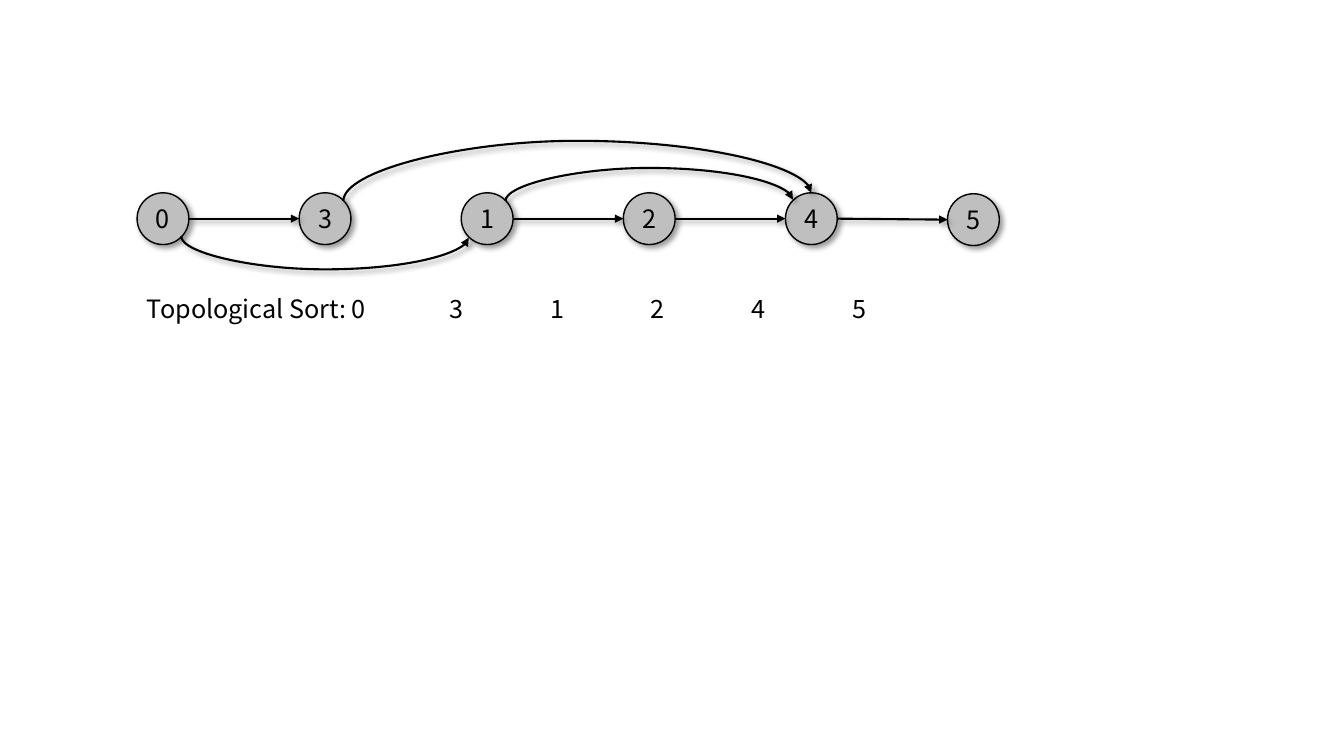
import math
from dataclasses import dataclass
from typing import Any

import pptx
import pptx.dml.color
import pptx.enum.shapes
import pptx.enum.text
import pptx.oxml
import pptx.oxml.ns
import pptx.util

Pt = pptx.util.Pt
COLORS = {"ink": "000000", "node": "BFBFBF"}
NS = pptx.oxml.ns.nsdecls("a")

# Geometry of the row of vertices, in points
DIAMETER = 37
ROW_LEFT, ROW_MIDDLE, STEP = 97.9, 156.2, 115.78
DIAGONAL = DIAMETER / 2 * math.sqrt(0.5)
ORDER = "031245"
LAST_DROP = 0.7  # the last vertex sits slightly lower

TEXT_FORMAT = {"size": Pt(18), "name": "Noto Sans CJK KR"}
FRAME_FORMAT = {
    "word_wrap": True,
    "auto_size": pptx.enum.text.MSO_AUTO_SIZE.SHAPE_TO_FIT_TEXT,
}


@dataclass
class Arc:
    source: str
    target: str
    upward: bool
    lift: float
    to_top: bool = False


ARCS = [
    Arc("1", "4", True, 23.8),
    Arc("0", "1", False, 23.8),
    Arc("3", "4", True, 43, to_top=True),
]


def rgb(key: str) -> pptx.dml.color.RGBColor:
    return pptx.dml.color.RGBColor.from_string(COLORS[key])


def apply_format(target: Any, values: dict[str, Any]) -> None:
    for attribute, value in values.items():
        setattr(target, attribute, value)


def center(vertex: str) -> tuple[float, float]:
    index = ORDER.index(vertex)
    drop = LAST_DROP if vertex == ORDER[-1] else 0
    return ROW_LEFT + DIAMETER / 2 + index * STEP, ROW_MIDDLE + drop


def outline(item: Any, width: float) -> None:
    """Black line with a soft shadow falling to the lower right."""
    item.line.color.rgb = rgb("ink")
    item.line.width = Pt(width)
    item._element.spPr.append(pptx.oxml.parse_xml(
        f'<a:effectLst {NS}><a:outerShdw blurRad="{Pt(4)}" dist="{Pt(3)}" '
        f'dir="2700000" algn="tl" rotWithShape="0"><a:srgbClr val="{COLORS["ink"]}">'
        '<a:alpha val="40000"/></a:srgbClr></a:outerShdw></a:effectLst>'))


def write(paragraph: Any, text: str) -> None:
    run = paragraph.add_run()
    run.text = text
    apply_format(run.font, TEXT_FORMAT)
    run.font.color.rgb = rgb("ink")


def draw_vertex(shapes: Any, vertex: str) -> None:
    x, y = center(vertex)
    circle = shapes.add_shape(
        pptx.enum.shapes.MSO_SHAPE.OVAL,
        Pt(x - DIAMETER / 2), Pt(y - DIAMETER / 2), Pt(DIAMETER), Pt(DIAMETER))
    circle.fill.solid()
    circle.fill.fore_color.rgb = rgb("node")
    outline(circle, 1)
    circle.text_frame.vertical_anchor = pptx.enum.text.MSO_ANCHOR.MIDDLE
    paragraph = circle.text_frame.paragraphs[0]
    paragraph.alignment = pptx.enum.text.PP_ALIGN.CENTER
    write(paragraph, vertex)


def finish_arrow(arrow: Any) -> None:
    outline(arrow, 1.5)
    arrow.line._get_or_add_ln().append(
        pptx.oxml.parse_xml(f'<a:tailEnd {NS} type="triangle"/>'))


def draw_edge(shapes: Any, source: str, target: str) -> None:
    (x1, y1), (x2, y2) = center(source), center(target)
    finish_arrow(shapes.add_connector(
        pptx.enum.shapes.MSO_CONNECTOR.STRAIGHT,
        Pt(x1 + DIAMETER / 2), Pt(y1), Pt(x2 - DIAMETER / 2), Pt(y2)))


def draw_arc(shapes: Any, arc: Arc) -> None:
    (x1, y1), (x2, y2) = center(arc.source), center(arc.target)
    side = -1 if arc.upward else 1
    x1, y1 = x1 + DIAGONAL, y1 + side * (DIAGONAL - 0.5)
    if arc.to_top:
        y2 -= DIAMETER / 2
    else:
        x2, y2 = x2 - DIAGONAL, y2 + side * (DIAGONAL + 0.5)

    # A quarter turn swaps the box: its width is the rise, its height the span
    rise, span = abs(y2 - y1), x2 - x1
    left, top = (x1 + x2 - rise) / 2, (y1 + y2 - span) / 2
    curve = shapes.add_connector(
        pptx.enum.shapes.MSO_CONNECTOR.CURVE,
        Pt(left), Pt(top), Pt(left + rise), Pt(top + span))
    frame = curve._element.spPr.get_or_add_xfrm()
    apply_format(frame, {"rot": 90 if arc.upward else 270,
                         "flipH": True, "flipV": arc.upward})
    guides = curve._element.spPr.prstGeom.get_or_add_avLst()
    guides.append(pptx.oxml.parse_xml(
        f'<a:gd {NS} name="adj1" fmla="val {round(arc.lift / rise * 100000)}"/>'))
    finish_arrow(curve)


def draw_caption(shapes: Any) -> None:
    caption = shapes.add_textbox(Pt(97.9), Pt(205.9), Pt(831.6), Pt(29.5))
    apply_format(caption.text_frame, FRAME_FORMAT)
    paragraph = caption.text_frame.paragraphs[0]
    stops = "".join(f'<a:tab pos="{Pt(72 * inch)}" algn="l"/>' for inch in range(3, 8))
    paragraph._p.get_or_add_pPr().append(
        pptx.oxml.parse_xml(f"<a:tabLst {NS}>{stops}</a:tabLst>"))
    write(paragraph, "Topological Sort: " + "\t".join(ORDER))


presentation = pptx.Presentation()
apply_format(presentation, {"slide_width": Pt(960), "slide_height": Pt(540)})
shapes = presentation.slides.add_slide(presentation.slide_layouts[6]).shapes

# Vertices in sorted order
for vertex in ORDER:
    draw_vertex(shapes, vertex)

# Straight edges between neighbours; 3 and 1 are not joined
for source, target in zip(ORDER, ORDER[1:]):
    if (source, target) != ("3", "1"):
        draw_edge(shapes, source, target)

# Caption and curved edges
draw_caption(shapes)
for arc in ARCS:
    draw_arc(shapes, arc)

presentation.save("out.pptx")
